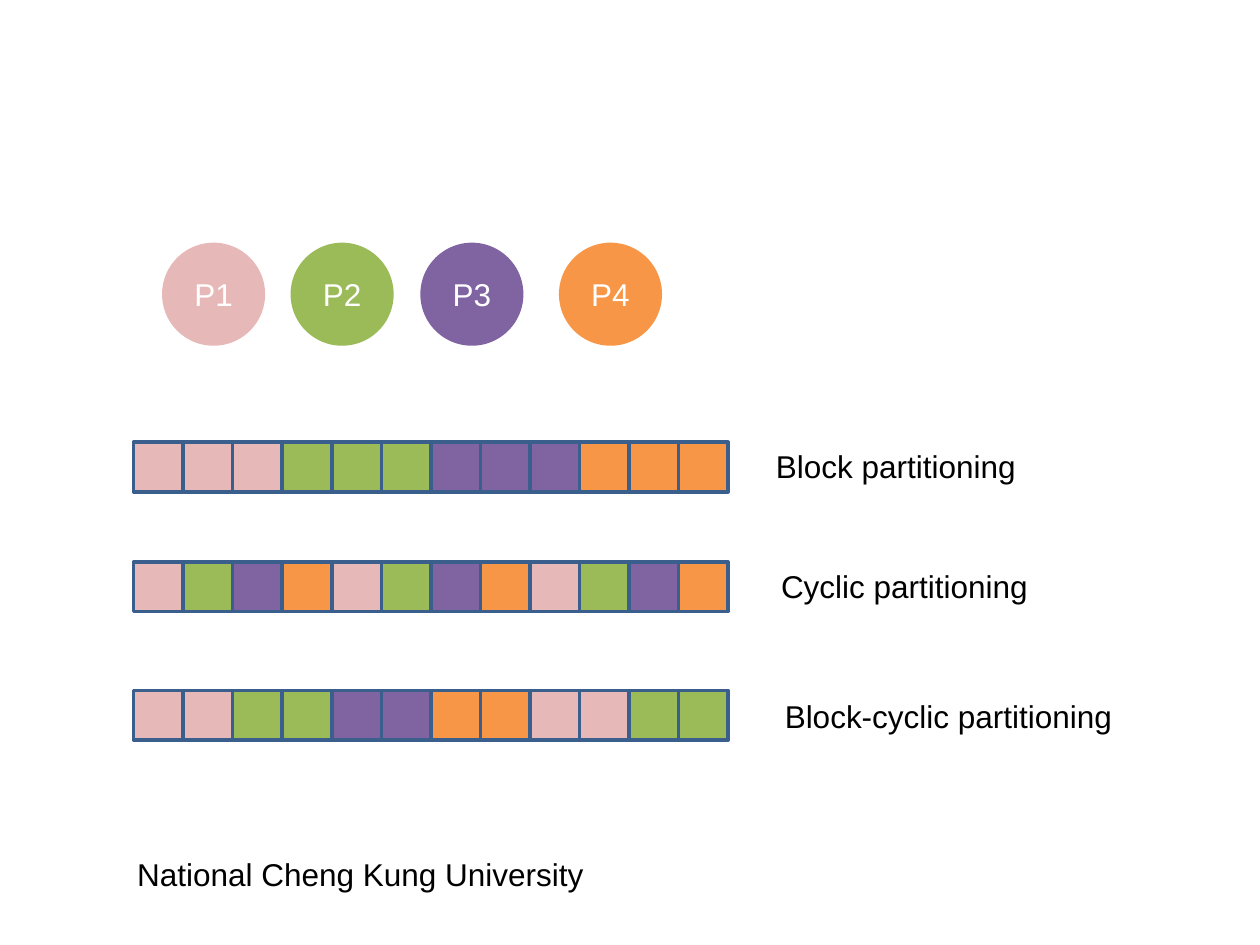
from typing import NamedTuple

from pptx import Presentation
from pptx import util as u
from pptx.dml.color import RGBColor
from pptx.enum import shapes, text
from pptx.text.text import TextFrame


class Process(NamedTuple):
    name: str
    left: float
    color: str


class Partitioning(NamedTuple):
    label: str
    block_size: int
    top: float
    label_left: float
    label_top: float
    label_width: float


PROCESSES = [
    Process("P1", 1.3, "E6B9B8"),
    Process("P2", 2.32, "9BBB59"),
    Process("P3", 3.35, "8064A2"),
    Process("P4", 4.45, "F79646"),
]
PARTITIONINGS = [
    Partitioning("Block partitioning", 3, 3.51, 6.06, 3.5, 2.12),
    Partitioning("Cyclic partitioning", 1, 4.46, 6.1, 4.45, 2.18),
    Partitioning("Block-cyclic partitioning", 2, 5.48, 6.13, 5.48, 2.82),
]
CELL_COUNT = 12
ARRAY_LEFT = 1.06
ARRAY_WIDTH = 4.72
CELL_BORDER = "3A5F8C"
CIRCLE_TOP = 1.94
CIRCLE_SIZE = 0.79


def rgb(color: str) -> RGBColor:
    return RGBColor.from_string(color)


def write(frame: TextFrame, words: str, color: str) -> None:
    paragraph = frame.paragraphs[0]
    paragraph.text = words
    paragraph.font.size = u.Pt(18)
    paragraph.font.name = "Arial"
    paragraph.font.color.rgb = rgb(color)


def draw_square(slide, kind: shapes.MSO_SHAPE, left: float, top: float,
                size: float, fill: str, border: str):
    square = slide.shapes.add_shape(
        kind, u.Inches(left), u.Inches(top), u.Inches(size), u.Inches(size))
    square.shadow.inherit = False
    square.fill.solid()
    square.fill.fore_color.rgb = rgb(fill)
    square.line.color.rgb = rgb(border)
    square.line.width = u.Pt(2)
    return square


def draw_label(slide, words: str, left: float, top: float, width: float,
               wrap: bool = False) -> None:
    label = slide.shapes.add_textbox(
        u.Inches(left), u.Inches(top), u.Inches(width), u.Inches(0.4))
    label.text_frame.word_wrap = wrap
    label.text_frame.auto_size = text.MSO_AUTO_SIZE.SHAPE_TO_FIT_TEXT
    write(label.text_frame, words, "000000")


def draw_process(slide, process: Process) -> None:
    circle = draw_square(slide, shapes.MSO_SHAPE.OVAL, process.left, CIRCLE_TOP,
                         CIRCLE_SIZE, process.color, process.color)
    frame = circle.text_frame
    frame.vertical_anchor = text.MSO_ANCHOR.MIDDLE
    frame.paragraphs[0].alignment = text.PP_ALIGN.CENTER
    write(frame, process.name, "FFFFFF")


def draw_partitioning(slide, partitioning: Partitioning) -> None:
    cell_size = ARRAY_WIDTH / CELL_COUNT
    for index in range(CELL_COUNT):
        owner = PROCESSES[index // partitioning.block_size % len(PROCESSES)]
        draw_square(slide, shapes.MSO_SHAPE.RECTANGLE,
                    ARRAY_LEFT + index * cell_size, partitioning.top,
                    cell_size, owner.color, CELL_BORDER)
    draw_label(slide, partitioning.label, partitioning.label_left,
               partitioning.label_top, partitioning.label_width)


def main() -> None:
    deck = Presentation()
    deck.slide_width = u.Inches(10)
    deck.slide_height = u.Inches(7.5)
    slide = deck.slides.add_slide(deck.slide_layouts[6])
    draw_label(slide, "National Cheng Kung University", 0.99, 6.74, 5.35, wrap=True)
    for process in PROCESSES:
        draw_process(slide, process)
    for partitioning in PARTITIONINGS:
        draw_partitioning(slide, partitioning)
    deck.save("out.pptx")


if __name__ == "__main__":
    main()
